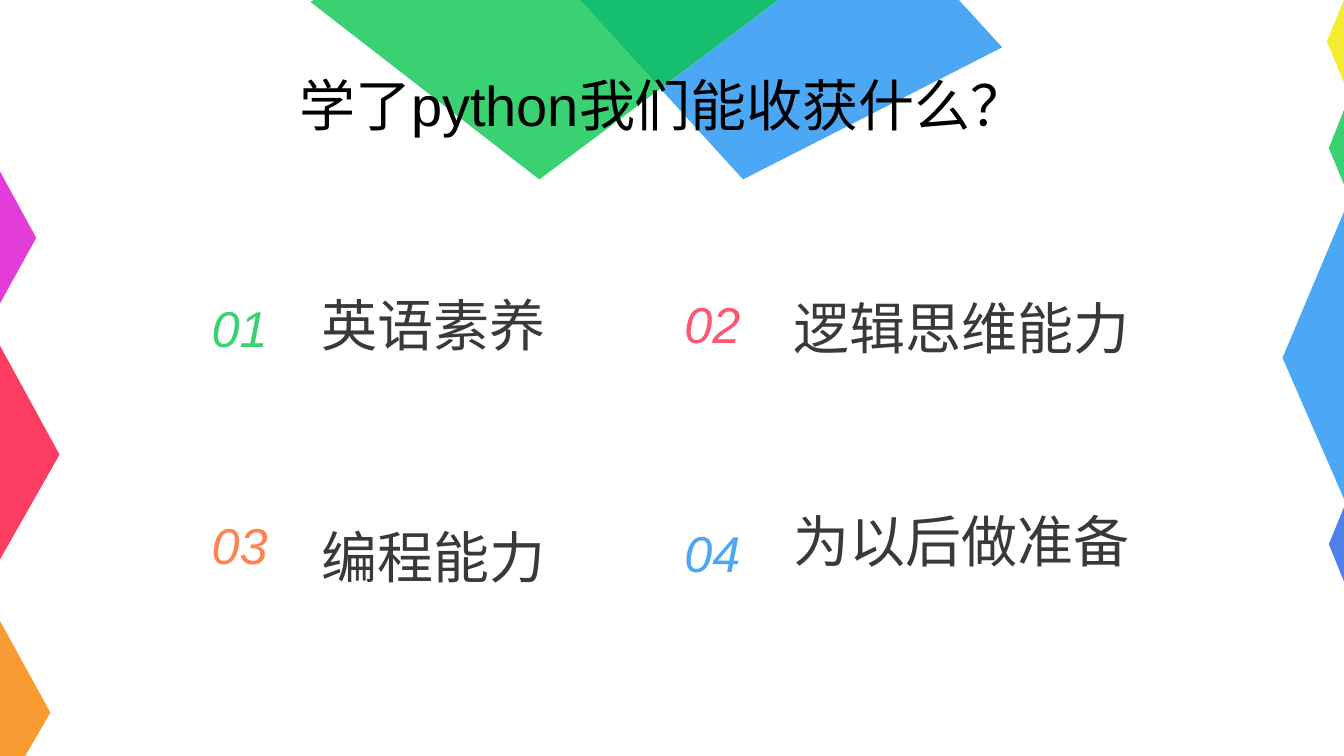
from pptx import Presentation
from pptx.dml.color import RGBColor
from pptx.enum.text import MSO_ANCHOR as Anchor, PP_ALIGN as Align
from pptx.util import Inches, Pt

WIDE, HIGH = 13.33, 7.5
TITLE = "学了python我们能收获什么？"
GREEN, BLUE, DARK = "3AD172", "4CA8F5", "3B3838"

# Gains: number, colour, number place, label, label place, label width
GAINS = [
    ("01", GREEN, (2, 2.9), "英语素养", (3.09, 2.83), 2.42),
    ("02", "FC5874", (6.69, 2.86), "逻辑思维能力", (7.77, 2.86), 3.53),
    ("03", "FF8352", (2, 5.05), "编程能力", (3.09, 5.13), 2.42),
    ("04", BLUE, (6.69, 5.13), "为以后做准备", (7.77, 4.98), 3.53),
]

# Edge spikes: side x, top, bottom, tip x, tip y, colour
SPIKES = [
    (0, 3.43, 5.55, 0.59, 4.51, "FA3D60"),
    (0, 1.7, 3.01, 0.36, 2.36, "E23DD8"),
    (WIDE, 0, 0.82, 13.16, 0.41, "F6EB33"),
    (WIDE, 1.09, 1.83, 13.18, 1.47, GREEN),
    (WIDE, 5.03, 5.77, 13.18, 5.4, "4E81E9"),
    (WIDE, 2.1, 4.95, 12.72, 3.55, BLUE),
]

# Other outlines: colour, corners
PLATES = [
    ("FA9A33", [(0, 6.16), (0.5, 7.07), (0.25, HIGH), (0, HIGH)]),
    ("16BF70", [(7.72, 0), (6.55, 0.88), (5.75, 0)]),
    (GREEN, [(3.11, 0), (5.75, 0), (6.55, 0.88), (5.35, 1.78), (3.08, 0.02)]),
    (BLUE, [(9.51, 0), (9.94, 0.47), (7.37, 1.78), (6.55, 0.88), (7.72, 0)]),
]


def tint(code):
    return RGBColor.from_string(code)


def plate(slide, color, spots):
    first, *rest = [(Inches(x), Inches(y)) for x, y in spots]
    pen = slide.shapes.build_freeform(*first)
    pen.add_line_segments(rest, close=True)
    shape = pen.convert_to_shape()
    shape.shadow.inherit = False
    shape.fill.solid()
    shape.fill.fore_color.rgb = tint(color)
    shape.line.fill.background()


def write(box, text, size=40, color=DARK, italic=False, align=Align.LEFT, wrap=False):
    frame = box.text_frame
    frame.word_wrap = wrap
    frame.vertical_anchor = Anchor.TOP
    frame.text = text
    line = frame.paragraphs[0]
    line.alignment = align
    font = line.runs[0].font
    font.name, font.size, font.italic = "Arial", Pt(size), italic
    font.color.rgb = tint(color)


def label(slide, place, width, height, text, **style):
    area = [Inches(n) for n in (*place, width, height)]
    write(slide.shapes.add_textbox(*area), text, **style)


def main():
    deck = Presentation()
    deck.slide_width, deck.slide_height = Inches(WIDE), Inches(HIGH)
    slide = deck.slides.add_slide(deck.slide_layouts[5])

    # Coloured edges
    for side, top, low, tip, mid, color in SPIKES:
        plate(slide, color, [(side, top), (tip, mid), (side, low)])
    for color, spots in PLATES:
        plate(slide, color, spots)

    # Title, raised above the plates
    title = slide.shapes.title
    title.left, title.top = Inches(2.85), Inches(0.65)
    title.width, title.height = Inches(7.45), Inches(0.77)
    write(title, TITLE, color="000000", align=Align.CENTER, wrap=True)
    slide.shapes._spTree.append(title._element)

    # Numbered gains
    for num, color, spot, text, place, width in GAINS:
        label(slide, spot, 0.76, 0.71, num, size=36, color=color, italic=True)
        label(slide, place, width, 0.77, text)

    deck.save("out.pptx")


if __name__ == "__main__":
    main()
